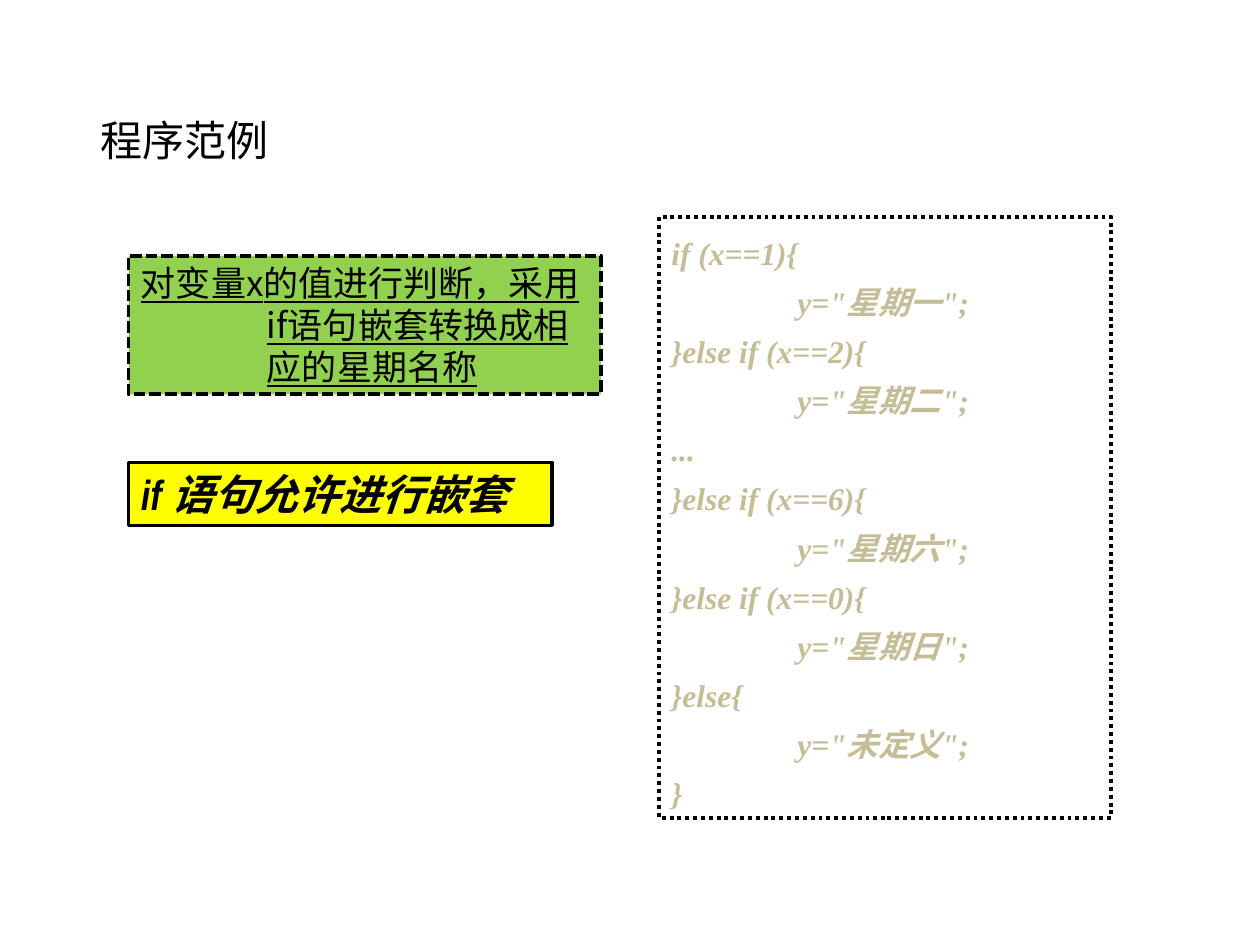
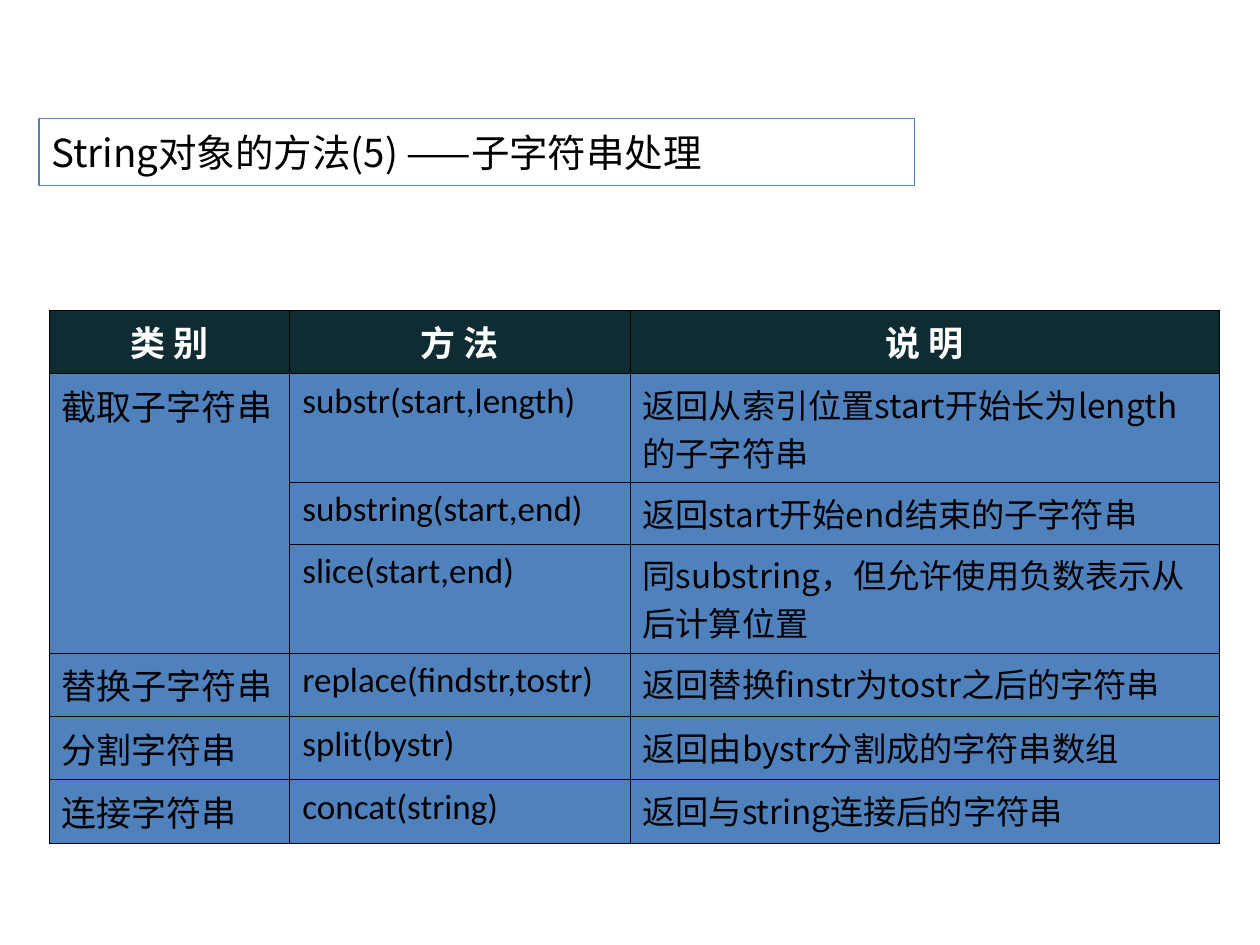
from lxml import etree
from pptx import Presentation
from pptx.dml.color import RGBColor
from pptx.enum.dml import MSO_LINE
from pptx.enum.shapes import MSO_SHAPE
from pptx.enum.text import MSO_ANCHOR, MSO_AUTO_SIZE, PP_ALIGN
from pptx.oxml.ns import qn
from pptx.util import Inches, Pt

DASH, DOT = MSO_LINE.DASH, MSO_LINE.ROUND_DOT
SYS_DASH, SYS_DOT = "sysDash", "sysDot"
TOP, MIDDLE = MSO_ANCHOR.TOP, MSO_ANCHOR.MIDDLE
LEFT, CENTER = PP_ALIGN.LEFT, PP_ALIGN.CENTER
CJK, SERIF, NARROW, SANS = "Noto Sans CJK SC", "Times New Roman", "Arial Narrow", "Calibri"
BLACK, WHITE, GREEN, YELLOW = "000000", "FFFFFF", "92D050", "FFFF00"
TAN, BLUE, DARK = "C4BD97", "4F81BD", "102C33"

EXAMPLE_TITLE = "程序范例"
TASK = "对变量x的值进行判断，采用if语句嵌套转换成相应的星期名称"
NESTING_RULE = "if 语句允许进行嵌套"
CODE = [
    "if (x==1){",
    "\ty=\"星期一\";",
    "}else if (x==2){",
    "\ty=\"星期二\";",
    "...",
    "}else if (x==6){",
    "\ty=\"星期六\";",
    "}else if (x==0){",
    "\ty=\"星期日\";",
    "}else{",
    "\ty=\"未定义\";",
    "}",
]

METHODS_TITLE = "String对象的方法(5) ——子字符串处理"
METHODS_HEADER = ("类 别", "方 法", "说 明")
METHODS = [
    ("截取子字符串", [
        ("substr(start,length)", "返回从索引位置start开始长为length的子字符串"),
        ("substring(start,end)", "返回start开始end结束的子字符串"),
        ("slice(start,end)", "同substring，但允许使用负数表示从后计算位置"),
    ]),
    ("替换子字符串", [("replace(findstr,tostr)", "返回替换finstr为tostr之后的字符串")]),
    ("分割字符串", [("split(bystr)", "返回由bystr分割成的字符串数组")]),
    ("连接字符串", [("concat(string)", "返回与string连接后的字符串")]),
]
COLUMN_WIDTHS = (1.91, 2.7, 4.68)
ROW_HEIGHTS = (0.45, 0.73, 0.49, 0.73, 0.46, 0.43, 0.49)
COLUMN_FONTS = ((CJK, 20, 5), (SANS, 20, 5), (CJK, 19, 4.8))


def rgb(value):
    return RGBColor.from_string(value)


def place(shape, left, top, width, height):
    shape.left, shape.top = Inches(left), Inches(top)
    shape.width, shape.height = Inches(width), Inches(height)


def write(paragraph, text, size, font=CJK, color=BLACK, bold=False, italic=False,
          underline=False, align=LEFT, before=0, leading=None, hanging=0):
    paragraph.alignment = align
    paragraph.space_before = Pt(before)
    if leading:
        paragraph.line_spacing = Pt(leading)
    if hanging:
        properties = paragraph._p.get_or_add_pPr()
        properties.set("marL", str(Inches(hanging)))
        properties.set("indent", str(-Inches(hanging)))
    run = paragraph.add_run()
    run.text = text
    run.font.size, run.font.name = Pt(size), font
    run.font.bold, run.font.italic, run.font.underline = bold, italic, underline
    run.font.color.rgb = rgb(color)
    etree.SubElement(run._r.get_or_add_rPr(), qn("a:ea")).set("typeface", CJK)


def paint(shape, fill, line, weight, dash=None):
    shape.fill.solid()
    shape.fill.fore_color.rgb = rgb(fill)
    shape.line.color.rgb = rgb(line)
    shape.line.width = Pt(weight)
    if dash:
        shape.line.dash_style = DASH
        shape.line._ln.find(qn("a:prstDash")).set("val", dash)


def add_title(slide, text, box, size, anchor, **style):
    title = slide.shapes.title
    place(title, *box)
    frame = title.text_frame
    frame.auto_size, frame.vertical_anchor, frame.word_wrap = MSO_AUTO_SIZE.NONE, anchor, True
    write(frame.paragraphs[0], text, size, **style)
    return title


def add_panel(slide, lines, box, fill, weight, dash=None, anchor=TOP, wrap=True, **style):
    panel = slide.shapes.add_shape(MSO_SHAPE.RECTANGLE, 0, 0, 0, 0)
    place(panel, *box)
    panel.shadow.inherit = False
    paint(panel, fill, BLACK, weight, dash)
    frame = panel.text_frame
    frame.vertical_anchor, frame.word_wrap = anchor, wrap
    for index, line in enumerate(lines):
        paragraph = frame.add_paragraph() if index else frame.paragraphs[0]
        write(paragraph, line, hanging=1, **style)


def fill_cell(cell, fill):
    cell.fill.solid()
    cell.fill.fore_color.rgb = rgb(fill)
    properties = cell._tc.get_or_add_tcPr()
    for index, side in enumerate(("lnL", "lnR", "lnT", "lnB")):
        border = etree.Element(qn(f"a:{side}"), w=str(Pt(0.45)))
        solid = etree.SubElement(border, qn("a:solidFill"))
        etree.SubElement(solid, qn("a:srgbClr")).set("val", BLACK)
        properties.insert(index, border)


def build_example(slide):
    add_title(slide, EXAMPLE_TITLE, (0.7, 0.86, 2.5, 0.55), 24, TOP, leading=28.8)
    add_panel(slide, CODE, (5.23, 1.72, 3.59, 4.77), WHITE, 2.25, SYS_DOT, MIDDLE, False,
              size=18, font=SERIF, color=TAN, bold=True, italic=True, leading=28.1)
    add_panel(slide, [NESTING_RULE], (1.02, 3.67, 3.36, 0.5), YELLOW, 2,
              size=24, font=NARROW, bold=True, italic=True, leading=28.8)
    add_panel(slide, [TASK], (1.02, 2.03, 3.75, 1.1), GREEN, 2.25, SYS_DASH,
              size=20, underline=True, leading=24)


def build_methods(slide):
    title = add_title(slide, METHODS_TITLE, (0.31, 0.94, 6.95, 0.53), 22, MIDDLE)
    paint(title, WHITE, BLUE, 0.75)

    frame = slide.shapes.add_table(
        len(ROW_HEIGHTS), len(COLUMN_WIDTHS), Inches(0.39), Inches(2.46),
        Inches(sum(COLUMN_WIDTHS)), Inches(sum(ROW_HEIGHTS)))
    table = frame.table
    table.horz_banding = False
    for column, width in zip(table.columns, COLUMN_WIDTHS):
        column.width = Inches(width)
    for row, height in zip(table.rows, ROW_HEIGHTS):
        row.height = Inches(height)

    for index in range(len(ROW_HEIGHTS)):
        for cell in table.rows[index].cells:
            fill_cell(cell, BLUE if index else DARK)
    for column, heading in enumerate(METHODS_HEADER):
        write(table.cell(0, column).text_frame.paragraphs[0], heading, 20,
              color=WHITE, bold=True, align=CENTER, before=5)

    row = 1
    for category, methods in METHODS:
        first = row
        for method, meaning in methods:
            texts = (category if row == first else None, method, meaning)
            for column, (text, (font, size, before)) in enumerate(zip(texts, COLUMN_FONTS)):
                if text:
                    write(table.cell(row, column).text_frame.paragraphs[0], text, size,
                          font=font, before=before)
            row += 1
        if len(methods) > 1:
            table.cell(first, 0).merge(table.cell(row - 1, 0))


def main():
    deck = Presentation()
    deck.slide_width, deck.slide_height = Inches(10), Inches(7.5)
    title_only = deck.slide_layouts[5]
    for build in (build_example, build_methods):
        build(deck.slides.add_slide(title_only))
    deck.save("out.pptx")


if __name__ == "__main__":
    main()
